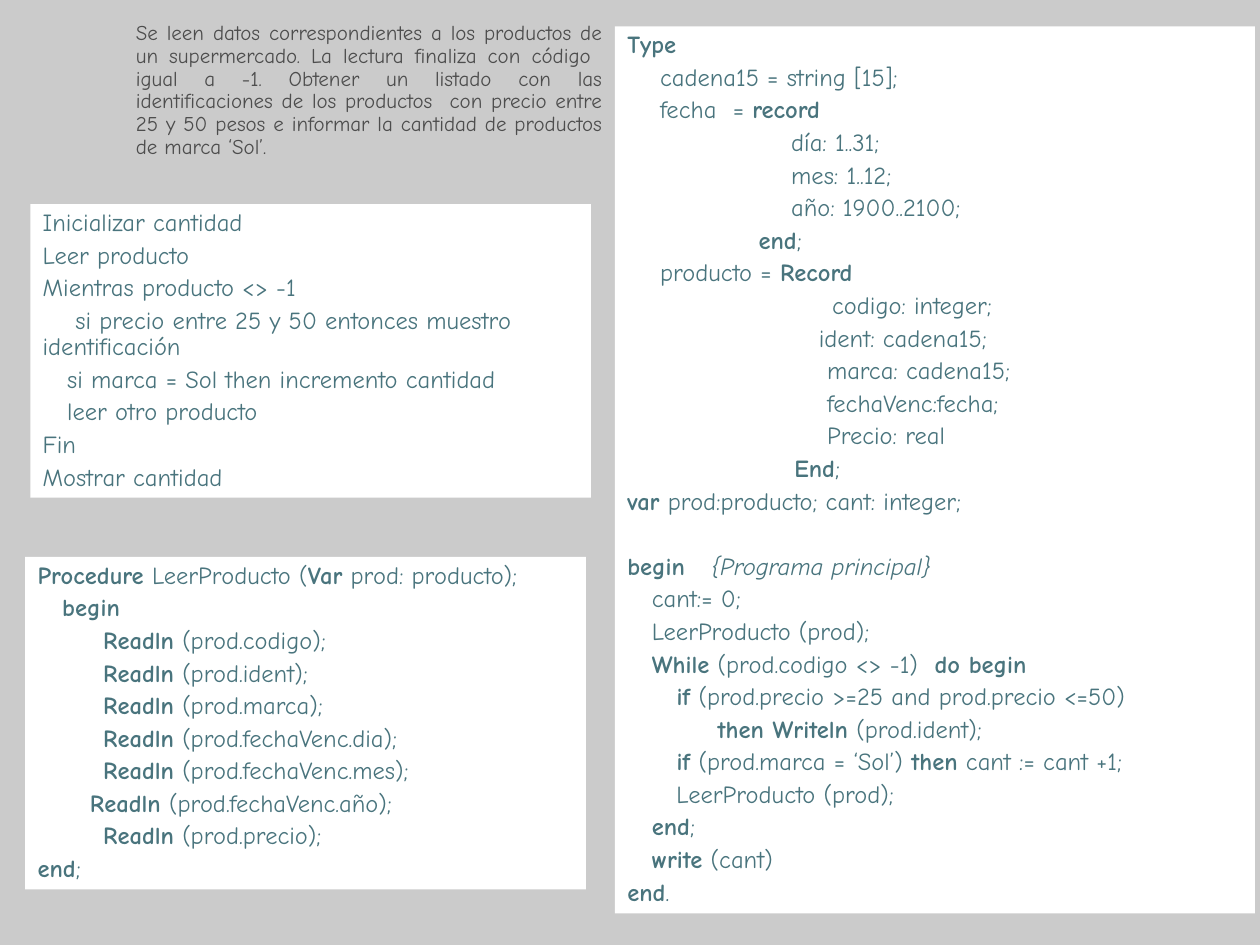
import lxml.etree
import pptx
import pptx.dml.color
import pptx.enum.shapes
import pptx.enum.text
import pptx.oxml.ns
import pptx.util

COLORS = {"background": "CBCBCB", "panel": "FFFFFF", "code": "49747D", "statement": "4D4D4D"}
COLUMNS, ROWS = 100, 75
BLANK_LAYOUT = 6

STATEMENT = (
    "Se leen datos correspondientes a los productos de un supermercado. "
    "La lectura finaliza con código  igual a -1. Obtener un listado con las "
    "identificaciones de los productos  con precio entre 25 y 50 pesos e informar "
    "la cantidad de productos de marca ‘Sol’."
)

PSEUDOCODE = """\
Inicializar cantidad
Leer producto
Mientras producto <> -1
    si precio entre 25 y 50 entonces muestro identificación
   si marca = Sol then incremento cantidad
   leer otro producto
Fin
Mostrar cantidad"""

# Asterisks switch bold on and off.
PROCEDURE = """\
*Procedure* LeerProducto (*Var* prod: producto);
   *begin*
        *Readln* (prod.codigo);
        *Readln* (prod.ident);
        *Readln* (prod.marca);
        *Readln* (prod.fechaVenc.dia);
        *Readln* (prod.fechaVenc.mes);
*      Readln* (prod.fechaVenc.año);
        *Readln* (prod.precio);
*end*;"""

PROGRAM = """\
*Type*
    cadena15 = string [15];
    fecha  = *record*
                    día: 1..31;
                    mes: 1..12;
                    año: 1900..2100;
                *end*;
    producto = *Record*
                         codigo: integer;
\t        ident: cadena15;
  \t         marca: cadena15;
\t         fechaVenc:fecha;
\t         Precio: real
\t     *End*;
*var* prod:producto; cant: integer;

*begin   *{Programa principal}
   cant:= 0;
   LeerProducto (prod);
   *While* (prod.codigo <> -1)  *do begin*
      *if* (prod.precio >=25 and prod.precio <=50)
           *then Writeln* (prod.ident);
      *if* (prod.marca = ‘Sol’) *then* cant := cant +1;
      LeerProducto (prod);
   *end*;
   *write* (cant)
*end*."""


def rgb(name):
    return pptx.dml.color.RGBColor.from_string(COLORS[name])


class SlideBuilder:
    font = "Comic Neue"
    line_spacing = 0.9
    code_size = 14
    statement_size = 12
    code_gap = 3.5
    blank_line = 18.6
    tab_stop = pptx.util.Inches(1)

    def __init__(self, prs):
        self.column = prs.slide_width / COLUMNS
        self.row = prs.slide_height / ROWS
        self.s = prs.slides.add_slide(prs.slide_layouts[BLANK_LAYOUT])
        fill = self.s.background.fill
        fill.solid()
        fill.fore_color.rgb = rgb("background")

    def area(self, left, top, width, height):
        """Turn columns and rows of the grid into slide lengths."""
        return (int(left * self.column), int(top * self.row),
                int(width * self.column), int(height * self.row))

    def frame(self, sp):
        tf = sp.text_frame
        tf.word_wrap = True
        tf.auto_size = pptx.enum.text.MSO_AUTO_SIZE.SHAPE_TO_FIT_TEXT
        tf.vertical_anchor = pptx.enum.text.MSO_ANCHOR.TOP
        return tf

    def paragraph(self, p, align, space_before=0):
        p.alignment = align
        p.line_spacing = self.line_spacing
        p.space_before = pptx.util.Pt(space_before)

    def add_tab_stop(self, p):
        qn = pptx.oxml.ns.qn
        tabs = lxml.etree.SubElement(p._p.get_or_add_pPr(), qn("a:tabLst"))
        lxml.etree.SubElement(tabs, qn("a:tab"), pos=str(self.tab_stop), algn="l")

    def run(self, p, text, size, color, bold=False, italic=False):
        r = p.add_run()
        r.text = text
        r.font.name = self.font
        r.font.size = pptx.util.Pt(size)
        r.font.color.rgb = rgb(color)
        r.font.bold = bold
        r.font.italic = italic

    def statement(self, text, *cells):
        sp = self.s.shapes.add_textbox(*self.area(*cells))
        p = self.frame(sp).paragraphs[0]
        self.paragraph(p, pptx.enum.text.PP_ALIGN.JUSTIFY)
        self.run(p, text, self.statement_size, "statement")

    def code_panel(self, code, *cells):
        """Draw a panel of code; an empty line becomes space before the next one."""
        sp = self.s.shapes.add_shape(pptx.enum.shapes.MSO_SHAPE.RECTANGLE, *self.area(*cells))
        sp.shadow.inherit = False
        sp.fill.solid()
        sp.fill.fore_color.rgb = rgb("panel")
        sp.line.fill.background()
        tf = self.frame(sp)
        p, gap = tf.paragraphs[0], 0
        for line in code.split("\n"):
            if not line:
                gap += self.blank_line
                continue
            if p is None:
                p = tf.add_paragraph()
            self.paragraph(p, pptx.enum.text.PP_ALIGN.LEFT, gap)
            if "\t" in line:
                self.add_tab_stop(p)
            for i, part in enumerate(line.split("*")):
                if part:
                    self.run(p, part, self.code_size, "code",
                             bold=i % 2 == 1, italic=part.startswith("{"))
            p, gap = None, self.code_gap


def main():
    prs = pptx.Presentation()
    prs.slide_width = pptx.util.Inches(10)
    prs.slide_height = pptx.util.Inches(7.5)
    slide = SlideBuilder(prs)
    slide.code_panel(PROGRAM, 48.8, 2.1, 50.8, 70.4)
    slide.code_panel(PROCEDURE, 2, 44.2, 44.5, 26.4)
    slide.statement(STATEMENT, 9.8, 1.3, 39, 11.8)
    slide.code_panel(PSEUDOCODE, 2.4, 16.2, 44.5, 23.3)
    prs.save("out.pptx")


if __name__ == "__main__":
    main()
